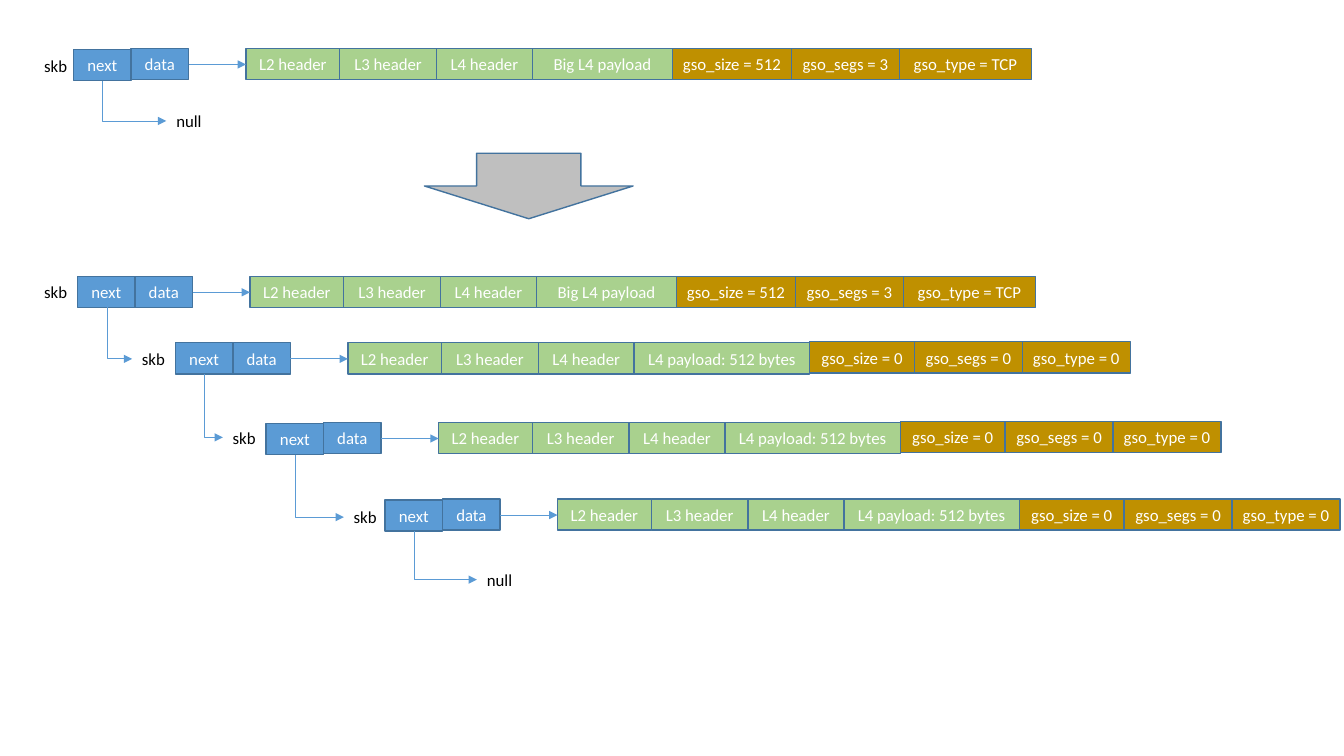
import dataclasses

import lxml.etree
import pptx
import pptx.dml.color
import pptx.enum.shapes
import pptx.enum.text
import pptx.oxml.ns
import pptx.util

RGBColor = pptx.dml.color.RGBColor
POINTER_BLUE = RGBColor(0x5B, 0x9B, 0xD5)
HEADER_GREEN = RGBColor(0xA9, 0xD1, 0x8E)
GSO_GOLD = RGBColor(0xBF, 0x90, 0x00)
ARROW_GRAY = RGBColor(0xBF, 0xBF, 0xBF)
OUTLINE_BLUE = RGBColor(0x43, 0x73, 0x9E)
WHITE = RGBColor(0xFF, 0xFF, 0xFF)
BLACK = RGBColor(0x00, 0x00, 0x00)

EMU_PER_PX = 9144  # 100 px to the inch
CELL_HEIGHT = 31
POINTER_WIDTH = 57
LABEL_HEIGHT = 30
PACKET_OFFSET = 3 * POINTER_WIDTH
ARROW_OFFSET = 16


@dataclasses.dataclass(frozen=True)
class Field:
    text: str
    width: int
    color: RGBColor


@dataclasses.dataclass(frozen=True)
class Label:
    text: str
    left: int
    top: int
    width: int = 43


@dataclasses.dataclass(frozen=True)
class Buffer:
    label: Label
    left: int
    top: int
    next_top: int
    gso_top: int
    fields: tuple[Field, ...]
    following: Label


HEADERS = (
    Field("L2 header", 93, HEADER_GREEN),
    Field("L3 header", 96, HEADER_GREEN),
    Field("L4 header", 95, HEADER_GREEN),
)
BIG_PACKET = HEADERS + (
    Field("Big L4 payload", 139, HEADER_GREEN),
    Field("gso_size = 512", 118, GSO_GOLD),
    Field("gso_segs = 3", 107, GSO_GOLD),
    Field("gso_type = TCP", 131, GSO_GOLD),
)
SEGMENT = HEADERS + (
    Field("L4 payload: 512 bytes", 174, HEADER_GREEN),
    Field("gso_size = 0", 104, GSO_GOLD),
    Field("gso_segs = 0", 107, GSO_GOLD),
    Field("gso_type = 0", 107, GSO_GOLD),
)

UNSPLIT_LABEL = Label("skb", 34, 50)
HEAD_LABEL = Label("skb", 34, 275)
FIRST_LABEL = Label("skb", 131, 341)
SECOND_LABEL = Label("skb", 221, 419)
THIRD_LABEL = Label("skb", 341, 498)
UNSPLIT_NULL = Label("null", 165, 105, 45)
LIST_NULL = Label("null", 473, 560, 45)

BUFFERS = (
    Buffer(UNSPLIT_LABEL, 73, 48, 49, 48, BIG_PACKET, UNSPLIT_NULL),
    Buffer(HEAD_LABEL, 77, 274, 274, 274, BIG_PACKET, FIRST_LABEL),
    Buffer(FIRST_LABEL, 174, 340, 340, 339, SEGMENT, SECOND_LABEL),
    Buffer(SECOND_LABEL, 264, 419, 420, 418, SEGMENT, THIRD_LABEL),
    Buffer(THIRD_LABEL, 382, 495, 496, 495, SEGMENT, LIST_NULL),
)


def px(length: float) -> pptx.util.Emu:
    return pptx.util.Emu(round(length * EMU_PER_PX))


def write_text(shape, text: str, *, color: RGBColor, alignment, anchor, wrap: bool) -> None:
    frame = shape.text_frame
    frame.word_wrap = wrap
    frame.vertical_anchor = anchor
    paragraph = frame.paragraphs[0]
    paragraph.alignment = alignment
    run = paragraph.add_run()
    run.text = text
    run.font.name = "Calibri"
    run.font.size = pptx.util.Pt(12)
    run.font.color.rgb = color


def add_block(slide, preset, left: int, top: int, width: int, height: int, color: RGBColor):
    shape = slide.shapes.add_shape(preset, px(left), px(top), px(width), px(height))
    shape.shadow.inherit = False
    shape.fill.solid()
    shape.fill.fore_color.rgb = color
    shape.line.color.rgb = OUTLINE_BLUE
    shape.line.width = pptx.util.Pt(1)
    return shape


def add_cell(slide, field: Field, left: int, top: int) -> None:
    rectangle = pptx.enum.shapes.MSO_SHAPE.RECTANGLE
    shape = add_block(slide, rectangle, left, top, field.width, CELL_HEIGHT, field.color)
    write_text(shape, field.text, color=WHITE, wrap=True,
               alignment=pptx.enum.text.PP_ALIGN.CENTER,
               anchor=pptx.enum.text.MSO_ANCHOR.MIDDLE)


def add_label(slide, label: Label) -> None:
    shape = slide.shapes.add_textbox(
        px(label.left), px(label.top), px(label.width), px(LABEL_HEIGHT))
    write_text(shape, label.text, color=BLACK, wrap=False,
               alignment=pptx.enum.text.PP_ALIGN.LEFT,
               anchor=pptx.enum.text.MSO_ANCHOR.TOP)
    shape.text_frame.auto_size = pptx.enum.text.MSO_AUTO_SIZE.SHAPE_TO_FIT_TEXT


def add_arrow(slide, kind, left: float, top: float, right: float, bottom: float):
    connector = slide.shapes.add_connector(kind, px(left), px(top), px(right), px(bottom))
    connector.line.color.rgb = POINTER_BLUE
    connector.line.width = pptx.util.Pt(0.5)
    qn = pptx.oxml.ns.qn
    line = connector.line._get_or_add_ln()
    lxml.etree.SubElement(line, qn("a:tailEnd"), type="triangle")
    lxml.etree.SubElement(connector._element.spPr, qn("a:effectLst"))
    return connector


def add_bent_arrow(slide, left: int, top: int, right: int, bottom: int) -> None:
    """Run down, then right: a one-bend connector turned by 270 degrees and flipped."""
    center_x, center_y = (left + right) / 2, (top + bottom) / 2
    half_width, half_height = (bottom - top) / 2, (right - left) / 2
    connector = add_arrow(
        slide, pptx.enum.shapes.MSO_CONNECTOR.ELBOW,
        center_x - half_width, center_y - half_height,
        center_x + half_width, center_y + half_height)
    properties = connector._element.spPr
    properties.find(pptx.oxml.ns.qn("a:prstGeom")).set("prst", "bentConnector2")
    transform = properties.find(pptx.oxml.ns.qn("a:xfrm"))
    transform.set("rot", str(270 * 60000))
    transform.set("flipH", "1")


def add_buffer(slide, buffer: Buffer) -> None:
    # Label and pointer cells
    add_label(slide, buffer.label)
    data_left = buffer.left + POINTER_WIDTH
    add_cell(slide, Field("next", POINTER_WIDTH, POINTER_BLUE), buffer.left, buffer.next_top)
    add_cell(slide, Field("data", POINTER_WIDTH, POINTER_BLUE), data_left, buffer.top)

    # Packet fields, side by side
    packet_left = buffer.left + PACKET_OFFSET
    left = packet_left
    for field in buffer.fields:
        add_cell(slide, field, left, buffer.gso_top if field.color == GSO_GOLD else buffer.top)
        left += field.width

    # Arrows to the packet and to the following buffer
    arrow_y = buffer.top + ARROW_OFFSET
    add_arrow(slide, pptx.enum.shapes.MSO_CONNECTOR.STRAIGHT,
              data_left + POINTER_WIDTH, arrow_y, packet_left, arrow_y)
    add_bent_arrow(slide, buffer.left + POINTER_WIDTH // 2 + 1, buffer.next_top + CELL_HEIGHT,
                   buffer.following.left, buffer.following.top + LABEL_HEIGHT // 2)


def main() -> None:
    presentation = pptx.Presentation()
    presentation.slide_width = px(1333)
    presentation.slide_height = px(750)
    slide = presentation.slides.add_slide(presentation.slide_layouts[6])

    for buffer in BUFFERS:
        add_buffer(slide, buffer)
    for null_label in (UNSPLIT_NULL, LIST_NULL):
        add_label(slide, null_label)

    # Segmentation step
    add_block(slide, pptx.enum.shapes.MSO_SHAPE.DOWN_ARROW, 421, 152, 207, 65, ARROW_GRAY)

    presentation.save("out.pptx")


if __name__ == "__main__":
    main()
